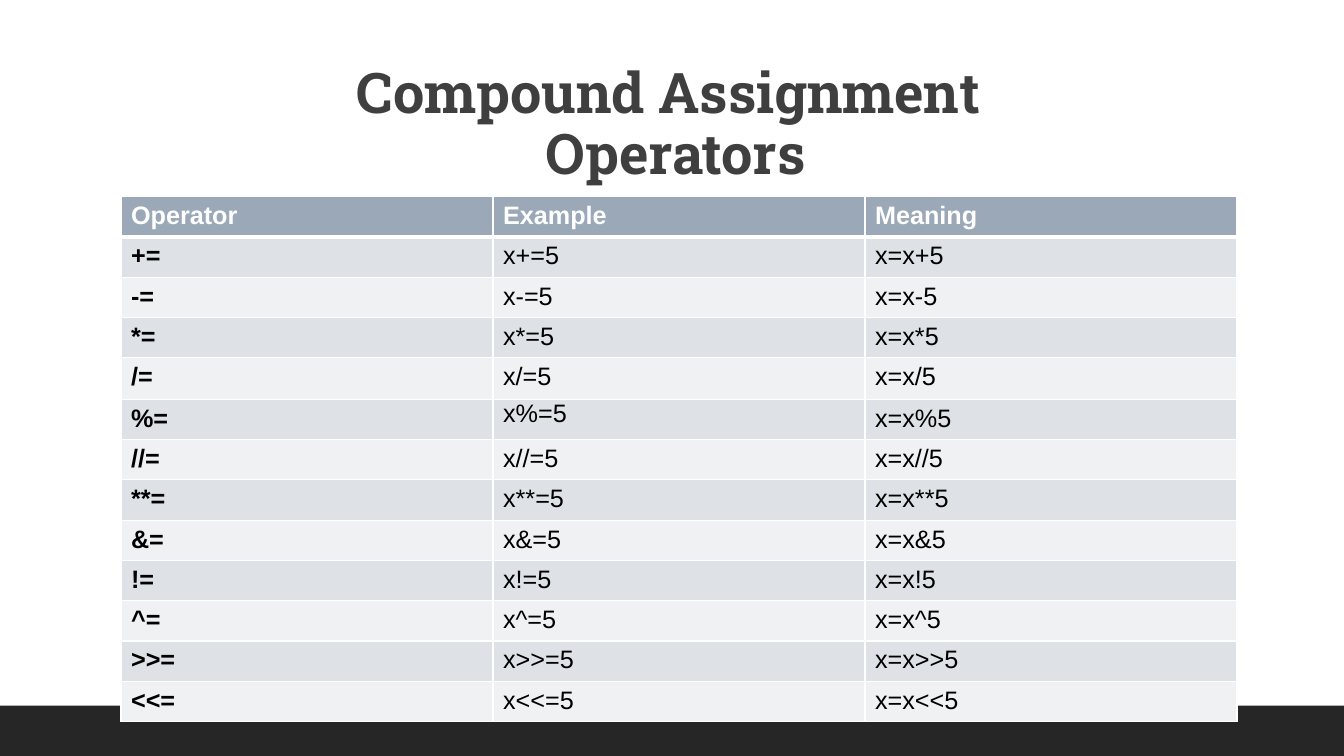
from lxml import etree
from pptx import Presentation
from pptx.dml.color import RGBColor
from pptx.enum.shapes import MSO_SHAPE
from pptx.enum.text import MSO_ANCHOR, MSO_AUTO_SIZE, PP_ALIGN
from pptx.oxml.ns import qn
from pptx.util import Inches, Pt

RECTANGLE = MSO_SHAPE.RECTANGLE
BOTTOM = MSO_ANCHOR.BOTTOM
CENTER = PP_ALIGN.CENTER
NO_AUTOFIT = MSO_AUTO_SIZE.NONE
TITLE_ONLY = 5

WHITE, BLACK, CHARCOAL, BAND = "FFFFFF", "000000", "3F3F3F", "262626"
HEADER_FILL = "9BA8B7"
ROW_FILLS = ["DEE1E5", "EFF1F3"]

HEADINGS = ["Operator", "Example", "Meaning"]
OPERATORS = ["+", "-", "*", "/", "%", "//", "**", "&", "!", "^", ">>", "<<"]
COLUMN_WIDTH, ROW_HEIGHT = Inches(3.69), Inches(0.4)


def style_run(run, font_name, size, color, bold):
    run.font.name = font_name
    run.font.size = Pt(size)
    run.font.color.rgb = RGBColor.from_string(color)
    run.font.bold = bold


def add_border(cell, side, points):
    """Draw a white line on one side (L, R, T or B); call before filling the cell."""
    properties = cell._tc.get_or_add_tcPr()
    line = etree.SubElement(properties, qn(f"a:ln{side}"), w=str(Pt(points)))
    fill = etree.SubElement(line, qn("a:solidFill"))
    etree.SubElement(fill, qn("a:srgbClr"), val=WHITE)


presentation = Presentation()
presentation.slide_width = Inches(13.33)
presentation.slide_height = Inches(7.5)
slide = presentation.slides.add_slide(presentation.slide_layouts[TITLE_ONLY])

# Dark band along the bottom
band_height = Inches(0.5)
band = slide.shapes.add_shape(
    RECTANGLE, 0, presentation.slide_height - band_height,
    presentation.slide_width, band_height)
band.shadow.inherit = False
band.fill.solid()
band.fill.fore_color.rgb = RGBColor.from_string(BAND)
band.line.fill.background()

# Title
title = slide.shapes.title
title.left, title.top = Inches(1.2), Inches(0.31)
title.width, title.height = Inches(11), Inches(1.59)
title_frame = title.text_frame
title_frame.auto_size = NO_AUTOFIT
title_frame.word_wrap = True
title_frame.vertical_anchor = BOTTOM
paragraph = title_frame.paragraphs[0]
paragraph.alignment = CENTER
paragraph.line_spacing = 0.9
first_line = paragraph.add_run()
first_line.text = "Compound Assignment "
paragraph.add_line_break()
second_line = paragraph.add_run()
second_line.text = "Operators"
for run in (first_line, second_line):
    style_run(run, "Roboto Slab", 40, CHARCOAL, True)

# Operator table
rows = [HEADINGS]
for operator in OPERATORS:
    rows.append([f"{operator}=", f"x{operator}=5", f"x=x{operator}5"])

table = slide.shapes.add_table(
    len(rows), len(HEADINGS), Inches(1.2), Inches(1.95),
    COLUMN_WIDTH * len(HEADINGS), ROW_HEIGHT * len(rows)).table
for column in table.columns:
    column.width = COLUMN_WIDTH
for row in table.rows:
    row.height = ROW_HEIGHT
table.rows[4].height = Inches(0.41)

for row_index, texts in enumerate(rows):
    is_header = row_index == 0
    row_fill = HEADER_FILL if is_header else ROW_FILLS[(row_index - 1) % 2]
    for column_index, text in enumerate(texts):
        cell = table.cell(row_index, column_index)
        add_border(cell, "L", 1)
        add_border(cell, "R", 1)
        add_border(cell, "T", 3 if row_index == 1 else 1)
        add_border(cell, "B", 3 if is_header else 1)
        cell.fill.solid()
        cell.fill.fore_color.rgb = RGBColor.from_string(row_fill)
        run = cell.text_frame.paragraphs[0].add_run()
        run.text = text
        style_run(run, "Arial", 18, WHITE if is_header else BLACK,
                  is_header or column_index == 0)

modulo_row = OPERATORS.index("%") + 1
table.cell(modulo_row, HEADINGS.index("Example")).margin_top = 0

presentation.save("out.pptx")
